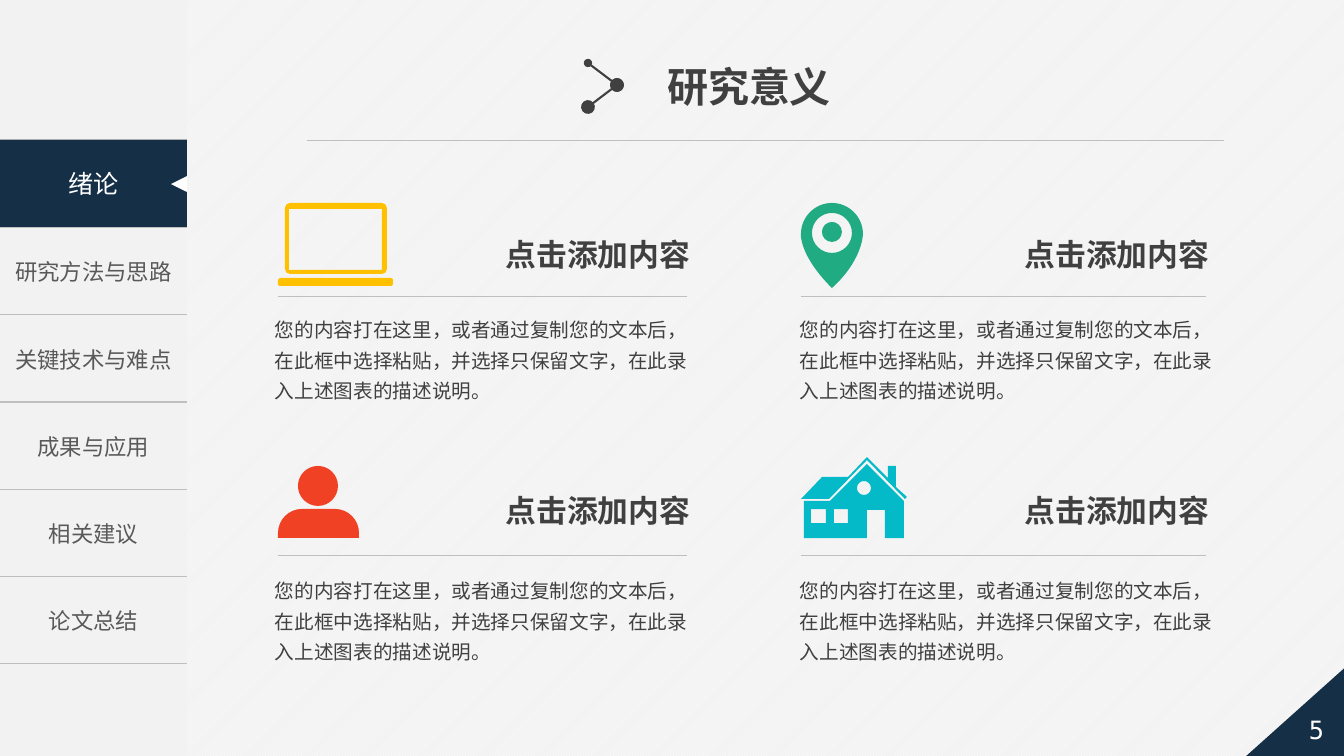
from dataclasses import dataclass
from itertools import chain, product

from lxml.etree import SubElement
from pptx import Presentation
from pptx.dml.color import RGBColor
from pptx.enum.dml import MSO_PATTERN
from pptx.enum.shapes import MSO_CONNECTOR, MSO_SHAPE
from pptx.enum.text import MSO_ANCHOR, PP_ALIGN
from pptx.oxml.ns import qn
from pptx.util import Pt

EMU_PER_PX = 914400 / 100.8


@dataclass(frozen=True)
class Theme:
    navy: str = "152F47"
    white: str = "FFFFFF"
    panel: str = "F2F2F2"
    rule: str = "BFBFBF"
    text: str = "404040"
    menu_text: str = "595959"
    yellow: str = "FFC000"
    green: str = "21AB82"
    red: str = "F14124"
    cyan: str = "05BAC8"
    font: str = "Noto Sans CJK SC"
    title_font: str = "Arial"
    number_font: str = "DejaVu Sans Mono"
    title_size: float = 29.3
    heading_size: int = 22
    tab_size: int = 18
    menu_size: int = 16
    body_size: int = 14


THEME = Theme()
HEADING = "点击添加内容"
BODY = ("您的内容打在这里，或者通过复制您的文本后，在此框中选择粘贴，"
        "并选择只保留文字，在此录入上述图表的描述说明。")
MENU = ["", "研究方法与思路", "关键技术与难点", "成果与应用", "相关建议", "论文总结"]
# Left edges of heading and body, then both ends of the rule
COLUMNS = [(493, 265, 278, 687), (1012, 790, 801, 1206)]
# Tops of heading, rule and body
ROWS = [(231, 296, 306), (487, 555, 567)]


def px(value):
    return round(value * EMU_PER_PX)


def rgb(code):
    return RGBColor.from_string(code)


def write(frame, text, size, color, align, font=THEME.font, bold=False):
    frame.text = text
    para = frame.paragraphs[0]
    para.alignment = align
    for span in para.runs:
        span.font.size = Pt(size)
        span.font.bold = bold
        span.font.name = font
        span.font.color.rgb = rgb(color)
        SubElement(span.font._element, qn("a:ea"), typeface=THEME.font)
    return para


def add_text(page, left, top, width, height, text, size, align, bold=False, wrap=True):
    frame = page.shapes.add_textbox(*map(px, (left, top, width, height))).text_frame
    frame.word_wrap = wrap
    frame.vertical_anchor = MSO_ANCHOR.TOP if wrap else MSO_ANCHOR.MIDDLE
    return write(frame, text, size, THEME.text, align, bold=bold)


def paint(shape, color):
    shape.shadow.inherit = False
    shape.line.fill.background()
    if color:
        shape.fill.solid()
        shape.fill.fore_color.rgb = rgb(color)
    else:
        shape.fill.background()


def add_block(page, kind, left, top, width, height, color=None, flip=False):
    shape = page.shapes.add_shape(kind, *map(px, (left, top, width, height)))
    paint(shape, color)
    if flip:
        shape._element.spPr.find(qn("a:xfrm")).set("flipH", "1")
    return shape


def add_line(page, start, end, color, weight, dots=()):
    line = page.shapes.add_connector(MSO_CONNECTOR.STRAIGHT, *map(px, (*start, *end)))
    line.line.color.rgb = rgb(color)
    line.line.width = Pt(weight)
    for tag, size in dots:
        SubElement(line.line._ln, qn(tag), type="oval", w=size, len=size)
    SubElement(line._element.spPr, qn("a:effectLst"))


# An outline is a list of segments: one point for a line, three for a curve
def polygon(*points):
    return [[point] for point in points]


def bend(start, corner, end):
    """Quarter ellipse from start to end, rounding off the corner."""
    controls = [tuple(a + 0.55 * (b - a) for a, b in zip(tip, corner))
                for tip in (start, end)]
    return [*controls, end]


def rounded(left, top, right, bottom, radius):
    return [[(left, top + radius)],
            bend((left, top + radius), (left, top), (left + radius, top)),
            [(right - radius, top)],
            bend((right - radius, top), (right, top), (right, top + radius)),
            [(right, bottom - radius)],
            bend((right, bottom - radius), (right, bottom), (right - radius, bottom)),
            [(left + radius, bottom)],
            bend((left + radius, bottom), (left, bottom), (left, bottom - radius))]


def circle(x, y, radius):
    west, north, east, south = ((x - radius, y), (x, y - radius),
                                (x + radius, y), (x, y + radius))
    return [[west],
            bend(west, (x - radius, y - radius), north),
            bend(north, (x + radius, y - radius), east),
            bend(east, (x + radius, y + radius), south),
            bend(south, (x - radius, y + radius), west)]


def square(left, top, right, bottom):
    return polygon((left, top), (right, top), (right, bottom), (left, bottom))


def add_icon(page, color, *outlines):
    builder = None
    for outline in outlines:
        first, *rest = [(px(x), px(y)) for x, y in chain(*outline)]
        if builder is None:
            builder = page.shapes.build_freeform(*first)
        else:
            builder.move_to(*first)
        builder.add_line_segments(rest, close=True)
    shape = builder.convert_to_shape()
    paint(shape, color)
    # Join the three steps of each curve
    steps = shape._element.spPr.iter(qn("a:moveTo"), qn("a:lnTo"))
    remaining = iter(list(steps))
    for segment in chain(*outlines):
        step = next(remaining)
        if len(segment) == 3:
            step.tag = qn("a:cubicBezTo")
            for extra in (next(remaining), next(remaining)):
                step.append(extra[0])
                extra.getparent().remove(extra)


def add_icons(page):
    # Laptop
    add_icon(page, THEME.yellow, rounded(278, 278, 393, 286, 2),
             rounded(285, 203, 387, 274, 5), square(289, 209, 382, 270))
    # Map pin
    pin = [[(801, 234)],
           bend((801, 234), (801, 203), (832, 203)),
           bend((832, 203), (863, 203), (863, 234)),
           [(863, 237), (861, 262), (832, 288)],
           [(832, 288), (804, 262), (801, 237)]]
    add_icon(page, THEME.green, pin, circle(832, 233, 20), circle(832, 232, 10))
    # Person
    shoulders = [[(278, 538)], [(278, 533)],
                 bend((278, 533), (278, 509), (302, 509)), [(335, 509)],
                 bend((335, 509), (359, 509), (359, 533)), [(359, 538)]]
    add_icon(page, THEME.red, circle(318, 486, 20), shoulders)
    # House
    walls = polygon((904, 501), (867, 464), (830, 501), (804, 501), (804, 538),
                    (867, 538), (867, 510), (885, 510), (885, 538), (904, 538))
    roof = polygon((907, 497), (905, 499), (867, 460), (829, 499), (801, 499),
                   (822, 477), (848, 477), (867, 457), (888, 478),
                   (888, 466), (896, 466), (896, 487))
    add_icon(page, THEME.cyan, walls, square(811, 509, 826, 523),
             square(834, 509, 848, 523), circle(864, 488, 7), roof)


def set_borders(cell):
    properties = cell._tc.get_or_add_tcPr()
    for tag in ("a:lnL", "a:lnR"):
        SubElement(SubElement(properties, qn(tag)), qn("a:noFill"))
    for tag in ("a:lnT", "a:lnB"):
        border = SubElement(properties, qn(tag), w=str(Pt(1)))
        SubElement(SubElement(border, qn("a:solidFill")), qn("a:srgbClr"), val=THEME.rule)


def add_menu(page):
    add_block(page, MSO_SHAPE.RECTANGLE, 0, 0, 187, 756, THEME.panel)
    table = page.shapes.add_table(len(MENU), 1, 0, px(140), px(187), px(524)).table
    table.first_row = table.horz_banding = False
    for row, label in enumerate(MENU):
        cell = table.cell(row, 0)
        set_borders(cell)
        cell.fill.background()
        cell.vertical_anchor = MSO_ANCHOR.MIDDLE
        if label:
            write(cell.text_frame, label, THEME.menu_size, THEME.menu_text, PP_ALIGN.CENTER)
    # Current section
    tab = add_block(page, MSO_SHAPE.RECTANGLE, 0, 140, 187, 87, THEME.navy)
    write(tab.text_frame, "绪论", THEME.tab_size, THEME.white, PP_ALIGN.CENTER)
    marker = add_block(page, MSO_SHAPE.ISOSCELES_TRIANGLE, 171, 176, 16, 16, THEME.white)
    marker.rotation = 270


def add_title(page):
    title = page.shapes.title
    title.left, title.top, title.width, title.height = map(px, (657, 56, 186, 59))
    title.text_frame.word_wrap = False
    title.text_frame.vertical_anchor = MSO_ANCHOR.TOP
    write(title.text_frame, "研究意义", THEME.title_size, THEME.text,
          PP_ALIGN.LEFT, THEME.title_font, bold=True)
    add_line(page, (307, 140), (1224, 140), THEME.rule, 0.5)
    # Linked dots beside the title
    add_line(page, (588, 63), (617, 85), THEME.text, 1.5,
             [("a:headEnd", "med"), ("a:tailEnd", "lg")])
    add_line(page, (617, 85), (588, 107), THEME.text, 1.5,
             [("a:headEnd", "lg"), ("a:tailEnd", "lg")])


def add_page_number(page):
    add_block(page, MSO_SHAPE.RIGHT_TRIANGLE, 1244, 664, 105, 94, THEME.navy, flip=True)
    plate = add_block(page, MSO_SHAPE.PENTAGON, 1255, 702, 109, 55, flip=True)
    write(plate.text_frame, "5", THEME.tab_size, THEME.white,
          PP_ALIGN.CENTER, THEME.number_font)


def add_topic(page, column, row):
    heading_left, body_left, rule_start, rule_end = column
    heading_top, rule_top, body_top = row
    add_line(page, (rule_start, rule_top), (rule_end, rule_top), THEME.rule, 0.5)
    add_text(page, heading_left, heading_top, 207, 47, HEADING,
             THEME.heading_size, PP_ALIGN.RIGHT, bold=True, wrap=False)
    para = add_text(page, body_left, body_top, 448, 103, BODY,
                    THEME.body_size, PP_ALIGN.LEFT)
    para.line_spacing = 1.3


def main():
    deck = Presentation()
    deck.slide_width, deck.slide_height = px(1344), px(756)
    page = deck.slides.add_slide(deck.slide_layouts[5])
    backdrop = page.background.fill
    backdrop.patterned()
    backdrop.pattern = MSO_PATTERN.LIGHT_UPWARD_DIAGONAL
    backdrop.fore_color.rgb = rgb(THEME.white)
    backdrop.back_color.rgb = rgb(THEME.panel)
    add_menu(page)
    add_title(page)
    add_page_number(page)
    add_icons(page)
    for row, column in product(ROWS, COLUMNS):
        add_topic(page, column, row)
    deck.save("out.pptx")


if __name__ == "__main__":
    main()
